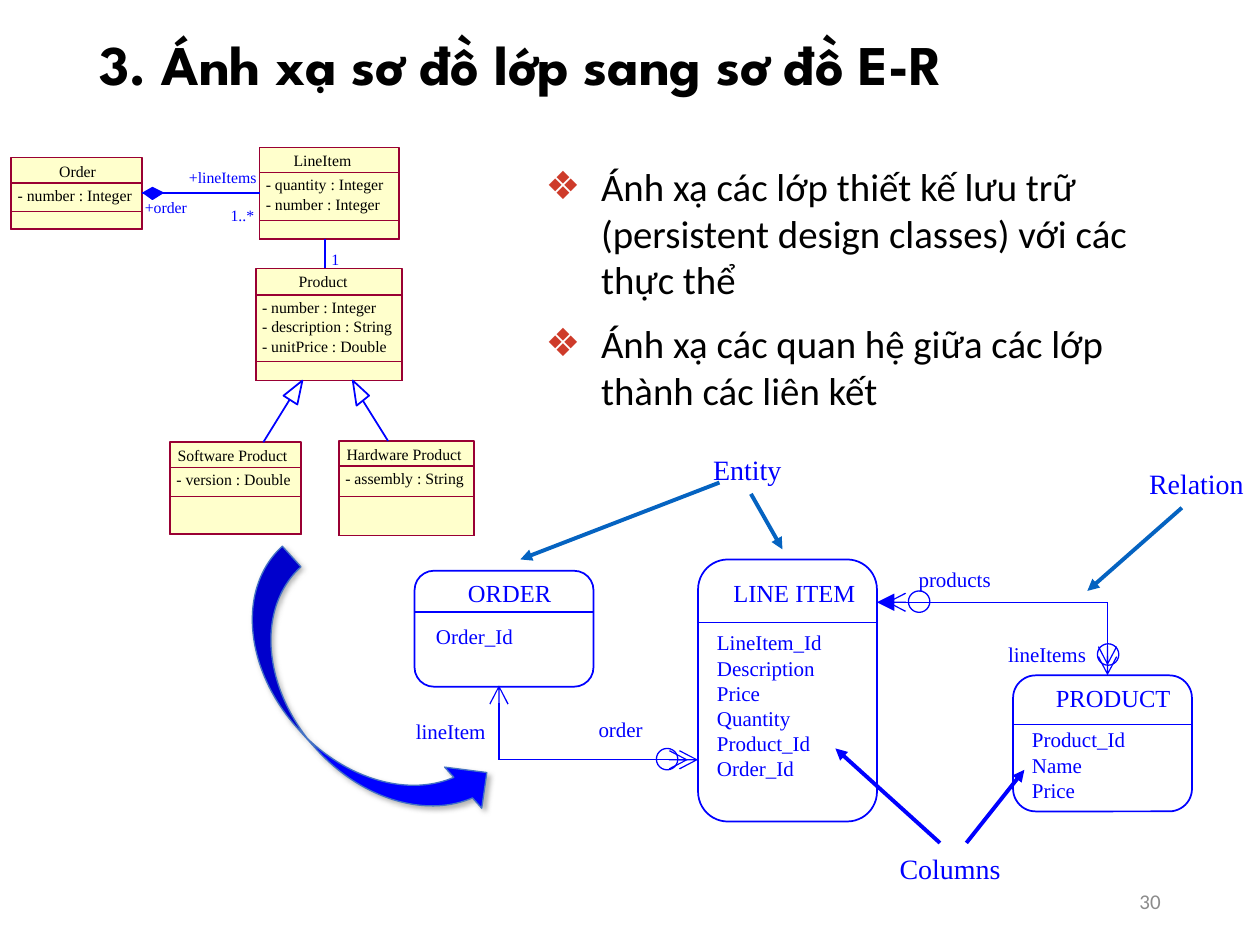
import lxml.etree
import pptx
import pptx.dml.color
import pptx.enum.shapes
import pptx.enum.text
import pptx.oxml.ns
import pptx.util

Inches = pptx.util.Inches
Pt = pptx.util.Pt
qn = pptx.oxml.ns.qn
RGBColor = pptx.dml.color.RGBColor
SHAPE = pptx.enum.shapes.MSO_SHAPE
ALIGN = pptx.enum.text.PP_ALIGN
ANCHOR = pptx.enum.text.MSO_ANCHOR
AUTO_SIZE = pptx.enum.text.MSO_AUTO_SIZE

BLACK = RGBColor(0x00, 0x00, 0x00)
BLUE = RGBColor(0x00, 0x00, 0xFF)
LINK_BLUE = RGBColor(0x05, 0x63, 0xC1)
ARROW_EDGE = RGBColor(0x44, 0x72, 0xC4)
CREAM = RGBColor(0xFF, 0xFF, 0xCC)
MAROON = RGBColor(0x99, 0x00, 0x33)
GRAY = RGBColor(0x8C, 0x8C, 0x8C)
BULLET_COLOR = "CE3B2A"
SERIF = "Times New Roman"

TITLE = "3. Ánh xạ sơ đồ lớp sang sơ đồ E-R"
BULLETS = [
    "Ánh xạ các lớp thiết kế lưu trữ (persistent design classes) với các thực thể",
    "Ánh xạ các quan hệ giữa các lớp thành các liên kết",
]

ENTITIES = [
    ("ORDER", (3.29, 4.53, 1.42, 0.92), 4.86, (3.56, 4.53, 0.91, 0.36),
     ["Order_Id"], (3.34, 4.89, 0.86, 0.32)),
    ("LINE ITEM", (5.54, 4.44, 1.42, 2.08), 4.94, (5.67, 4.53, 1.21, 0.36),
     ["LineItem_Id", "Description", "Price", "Quantity", "Product_Id", "Order_Id"],
     (5.57, 4.94, 1.39, 1.33)),
    ("PRODUCT", (8.04, 5.36, 1.42, 1.08), 5.75, (8.23, 5.36, 1.15, 0.36),
     ["Product_Id", "Name", "Price"], (8.07, 5.71, 1, 0.73)),
]
RELATION_LINES = [
    ((3.96, 5.44), (3.96, 6.03), "arrow", None),
    ((3.96, 6.03), (5.54, 6.03), None, "arrow"),
    ((4.04, 6.03), (5.46, 6.03), None, "arrow"),
    ((6.96, 4.78), (8.79, 4.78), "triangle", None),
    ((7.04, 4.78), (8.38, 4.78), "arrow", None),
    ((8.79, 4.78), (8.79, 5.36), None, "arrow"),
    ((8.79, 5.03), (8.79, 5.28), None, "arrow"),
]
RELATION_CIRCLES = [(5.21, 5.94), (7.21, 4.69), (8.71, 5.11)]
CIRCLE_SIZE = 0.17
RELATION_LABELS = [
    ("lineItem", (3.18, 5.64, 0.8, 0.32)),
    ("order", (4.63, 5.63, 0.59, 0.32)),
    ("products", (7.17, 4.44, 0.82, 0.32)),
    ("lineItems", (7.88, 5.03, 0.86, 0.32)),
]
CALLOUTS = [
    ("Entity", (5.54, 3.53, 0.79, 0.39), LINK_BLUE,
     [((5.96, 3.92), (6.21, 4.36)), ((5.71, 3.83), (4.13, 4.44))]),
    ("Relation", (9, 3.64, 0.96, 0.39), LINK_BLUE, [((9.38, 4.03), (8.63, 4.69))]),
    ("Columns", (7.02, 6.7, 1.05, 0.39), BLUE,
     [((7.46, 6.69), (6.63, 5.94)), ((7.67, 6.69), (8.13, 6.11))]),
]

CLASSES = [
    ("LineItem", (2.06, 1.17, 1.11, 0.73), (2.33, 0.46), (1.37, 1.75),
     [("- quantity : Integer", 0.94), ("- number : Integer", 0.91)]),
    ("Order", (0.09, 1.25, 1.04, 0.57), (0.47, 0.29), (1.45, 1.68),
     [("- number : Integer", 0.91)]),
    ("Product", (2.03, 2.13, 1.16, 0.89), (2.37, 0.39), (2.34, 2.87),
     [("- number : Integer", 0.91), ("- description : String", 1.05),
      ("- unitPrice : Double", 1)]),
    ("Software Product", (1.35, 3.51, 1.04, 0.73), (1.41, 0.88), (3.71, 3.94),
     [("- version : Double", 0.91)]),
    ("Hardware Product", (2.69, 3.5, 1.07, 0.75), (2.75, 0.93), (3.7, 3.94),
     [("- assembly : String", 0.95)]),
]
LABEL_HEIGHT = 0.15
LABEL_SLACK = 0.06
ATTRIBUTE_PITCH = 0.155
CLASS_LABELS = [("1..*", 1.83, 1.63, 0.19), ("+lineItems", 1.5, 1.33, 0.54),
                ("+order", 1.15, 1.57, 0.34), ("1", 2.63, 1.98, 0.06)]
CLASS_LINES = [((2.58, 2.13), (2.58, 1.9)), ((2.09, 3.51), (2.3, 3.17)),
               ((3.08, 3.5), (2.88, 3.18))]
MARKERS = [
    ([(1.14, 1.53), (1.21, 1.58), (1.29, 1.53), (1.21, 1.49)], BLUE),
    ([(2.4, 3.02), (2.36, 3.21), (2.25, 3.14)], None),
    ([(2.8, 3.02), (2.93, 3.14), (2.83, 3.22)], None),
]


def set_values(target, values):
    for name, value in values.items():
        setattr(target, name, value)


def format_run(run, size, color, font=SERIF, bold=False):
    set_values(run.font, {"size": Pt(size), "name": font, "bold": bold})
    run.font.color.rgb = color


def place(shape, box):
    names = ("left", "top", "width", "height")
    set_values(shape, dict(zip(names, map(Inches, box))))


def paint(shape, fill, line, width):
    shape.shadow.inherit = False
    if fill is None:
        shape.fill.background()
    else:
        shape.fill.solid()
        shape.fill.fore_color.rgb = fill
    shape.line.color.rgb = line
    shape.line.width = Pt(width)


def add_outline(slide, kind, box, line, width=1, fill=None):
    shape = slide.shapes.add_shape(kind, *map(Inches, box))
    paint(shape, fill, line, width)
    return shape


def add_label(slide, lines, box, size, color=BLUE, margins=(0.12, 0.06), align=ALIGN.LEFT):
    left, top, width, height = box
    roomy_box = (left, top, width + LABEL_SLACK, height)
    frame = slide.shapes.add_textbox(*map(Inches, roomy_box)).text_frame
    side, edge = map(Inches, margins)
    set_values(frame, {"margin_left": side, "margin_right": side, "margin_top": edge,
                       "margin_bottom": edge, "word_wrap": False,
                       "auto_size": AUTO_SIZE.NONE, "text": "\n".join(lines)})
    for paragraph in frame.paragraphs:
        paragraph.alignment = align
        format_run(paragraph.runs[0], size, color)


def add_small_label(slide, text, left, top, width, color):
    add_label(slide, [text], (left, top, width, LABEL_HEIGHT), 9, color, (0, 0))


def add_line(slide, start, end, color=BLUE, width=1, head=None, tail=None, size="med"):
    connector = slide.shapes.add_connector(
        pptx.enum.shapes.MSO_CONNECTOR.STRAIGHT, *map(Inches, (*start, *end)))
    connector.line.color.rgb = color
    connector.line.width = Pt(width)
    properties = connector.element.spPr
    outline = properties.find(qn("a:ln"))
    for tag, kind in (("a:headEnd", head), ("a:tailEnd", tail)):
        if kind:
            lxml.etree.SubElement(outline, qn(tag), type=kind, w=size, len=size)
    lxml.etree.SubElement(properties, qn("a:effectLst"))
    return connector


def add_text(slide):
    title, body = slide.placeholders
    place(title, (0.69, 0.13, 8.62, 0.81))
    title.text_frame.text = TITLE
    title.text_frame.vertical_anchor = ANCHOR.MIDDLE
    paragraph = title.text_frame.paragraphs[0]
    set_values(paragraph, {"alignment": ALIGN.LEFT, "line_spacing": 0.9})
    format_run(paragraph.runs[0], 32, BLACK, "League Spartan", True)

    place(body, (4.23, 1.24, 5.4, 2.21))
    body.text_frame.text = "\n".join(BULLETS)
    for index, paragraph in enumerate(body.text_frame.paragraphs):
        properties = paragraph._p.get_or_add_pPr()
        properties.set("marL", str(Inches(0.44)))
        properties.set("indent", str(Inches(-0.44)))
        bullet_color = lxml.etree.SubElement(properties, qn("a:buClr"))
        lxml.etree.SubElement(bullet_color, qn("a:srgbClr"), val=BULLET_COLOR)
        lxml.etree.SubElement(properties, qn("a:buChar"), char="❖")
        paragraph.space_before = Pt(10 if index else 0)
        format_run(paragraph.runs[0], 22.2, BLACK, "Calibri")

    frame = slide.shapes.add_textbox(*map(Inches, (7.06, 6.95, 2.25, 0.4))).text_frame
    set_values(frame, {"text": "30", "word_wrap": True, "vertical_anchor": ANCHOR.MIDDLE})
    frame.paragraphs[0].alignment = ALIGN.RIGHT
    format_run(frame.paragraphs[0].runs[0], 12, GRAY, "Calibri")


def add_entity_diagram(slide):
    for name, box, divider, name_box, columns, column_box in ENTITIES:
        add_outline(slide, SHAPE.ROUNDED_RECTANGLE, box, BLUE)
        add_line(slide, (box[0], divider), (box[0] + box[2], divider))
        add_label(slide, [name], name_box, 14, align=ALIGN.CENTER)
        add_label(slide, columns, column_box, 12)
    for start, end, head, tail in RELATION_LINES:
        add_line(slide, start, end, BLUE, 0.75, head, tail, "lg")
    for left, top in RELATION_CIRCLES:
        add_outline(slide, SHAPE.FLOWCHART_CONNECTOR,
                    (left, top, CIRCLE_SIZE, CIRCLE_SIZE), BLUE, 0.75)
    for text, box in RELATION_LABELS:
        add_label(slide, [text], box, 12)
    for text, box, color, arrows in CALLOUTS:
        add_label(slide, [text], box, 16)
        for start, end in arrows:
            add_line(slide, start, end, color, 2.25, tail="triangle")


def add_class_diagram(slide):
    boxes = {}
    for name, box, (name_left, name_width), dividers, attributes in CLASSES:
        left, top, width, height = box
        boxes[name] = add_outline(slide, SHAPE.RECTANGLE, box, MAROON, fill=CREAM)
        for divider in dividers:
            add_outline(slide, SHAPE.RECTANGLE,
                        (left, divider, width, top + height - divider), MAROON)
        add_small_label(slide, name, name_left, top + 0.03, name_width, BLACK)
        for index, (text, text_width) in enumerate(attributes):
            text_top = dividers[0] + 0.02 + index * ATTRIBUTE_PITCH
            add_small_label(slide, text, left + 0.05, text_top, text_width, BLACK)
    for label in CLASS_LABELS:
        add_small_label(slide, *label, BLUE)
    composition = add_line(slide, (2.06, 1.53), (1.13, 1.53))
    composition.begin_connect(boxes["LineItem"], 1)
    composition.end_connect(boxes["Order"], 3)
    for start, end in CLASS_LINES:
        add_line(slide, start, end)
    for points, fill in MARKERS:
        corners = [tuple(map(Inches, point)) for point in points]
        builder = slide.shapes.build_freeform(*corners[0])
        builder.add_line_segments(corners[1:], close=True)
        paint(builder.convert_to_shape(), fill, BLUE, 1)


def add_mapping_arrow(slide):
    arrow = add_outline(slide, SHAPE.CURVED_RIGHT_ARROW, (2.36, 4.29, 0.88, 2.64),
                        ARROW_EDGE, 0.75, BLUE)
    arrow.rotation = 317.9
    for index, value in enumerate((0.25, 0.5, 0.25)):
        arrow.adjustments[index] = value
    effects = arrow.element.spPr.find(qn("a:effectLst"))
    shadow = lxml.etree.SubElement(effects, qn("a:outerShdw"), blurRad=str(Pt(3)),
                                   dist=str(Pt(2)), dir="2700000", rotWithShape="0")
    color = lxml.etree.SubElement(shadow, qn("a:srgbClr"), val="808080")
    lxml.etree.SubElement(color, qn("a:alpha"), val="60000")


def main():
    presentation = pptx.Presentation()
    presentation.slide_width, presentation.slide_height = Inches(10), Inches(7.5)
    slide = presentation.slides.add_slide(presentation.slide_layouts[1])
    add_text(slide)
    add_entity_diagram(slide)
    add_class_diagram(slide)
    add_mapping_arrow(slide)
    presentation.save("out.pptx")


if __name__ == "__main__":
    main()
